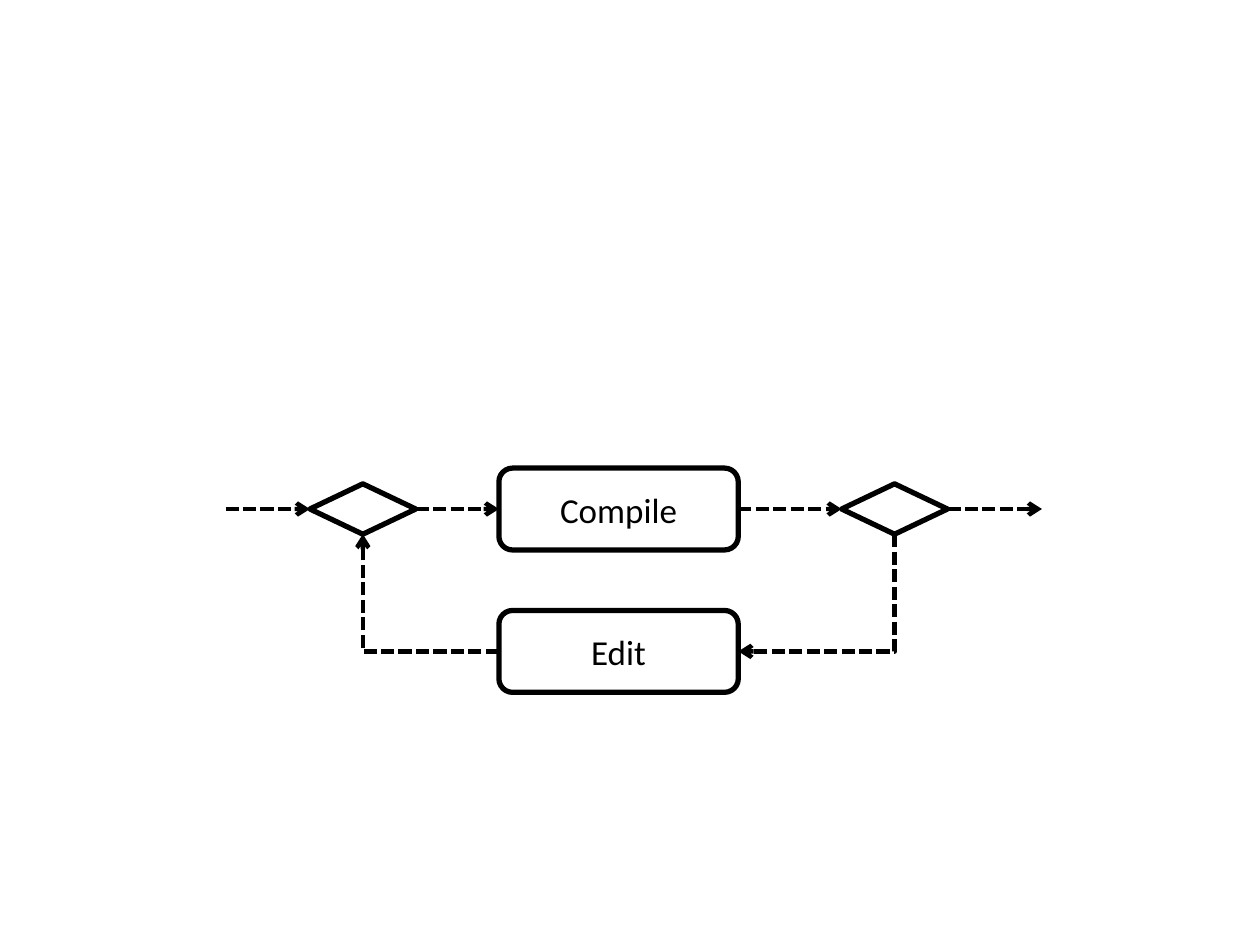
import pptx
import pptx.dml.color
import pptx.enum.dml
import pptx.enum.shapes
import pptx.enum.text
import pptx.oxml
import pptx.oxml.ns
import pptx.util
from pptx.util import Inches

BLACK = pptx.dml.color.RGBColor(0, 0, 0)
SHAPE = pptx.enum.shapes.MSO_SHAPE
CONNECTOR = pptx.enum.shapes.MSO_CONNECTOR
TOP, LEFT, BOTTOM, RIGHT = range(4)

# Grid: centres of the columns and rows, in inches
START, MERGE, STEP, DECISION, FINISH = 1.79, 2.88, 4.91, 7.1, 8.27
MAIN_ROW, LOOP_ROW = 4.04, 5.17
STEP_SIZE = (1.9, 0.65)
DIAMOND_SIZE = (0.84, 0.4)


def add_node(page, kind, column, row, size, label=""):
    """Outlined shape centred on a grid point."""
    width, height = size
    node = page.shapes.add_shape(
        kind, Inches(column - width / 2), Inches(row - height / 2),
        Inches(width), Inches(height))
    node.shadow.inherit = False
    node.fill.background()
    node.line.color.rgb = BLACK
    node.line.width = pptx.util.Pt(3)
    if label:
        frame = node.text_frame
        frame.vertical_anchor = pptx.enum.text.MSO_ANCHOR.MIDDLE
        para = frame.paragraphs[0]
        para.alignment = pptx.enum.text.PP_ALIGN.CENTER
        span = para.add_run()
        span.text = label
        span.font.name = "Calibri"
        span.font.size = pptx.util.Pt(20)
        span.font.color.rgb = BLACK
    return node


def add_flow(page, source=None, target=None, kind=CONNECTOR.STRAIGHT):
    """Dashed arrow between (node, side) pairs; an open end lies on the main row."""
    row = Inches(MAIN_ROW)
    flow = page.shapes.add_connector(kind, Inches(START), row, Inches(FINISH), row)
    if source:
        flow.begin_connect(*source)
    if target:
        flow.end_connect(*target)
    flow.line.color.rgb = BLACK
    flow.line.width = pptx.util.Pt(2.5)
    flow.line.dash_style = pptx.enum.dml.MSO_LINE.SQUARE_DOT
    properties = flow._element.spPr
    arrowhead = pptx.oxml.parse_xml(
        '<a:tailEnd %s type="arrow"/>' % pptx.oxml.ns.nsdecls("a"))
    flow.line._get_or_add_ln().append(arrowhead)
    properties.append(pptx.oxml.parse_xml(
        "<a:effectLst %s/>" % pptx.oxml.ns.nsdecls("a")))
    return flow


def add_corner_flow(page, source, target, down_first=False):
    """Dashed arrow with a single right-angled bend."""
    flow = add_flow(page, source, target, CONNECTOR.ELBOW)
    properties = flow._element.spPr
    properties.find(pptx.oxml.ns.qn("a:prstGeom")).set("prst", "bentConnector2")
    if down_first:
        # A quarter turn about the centre makes the first leg run downwards
        left, top, width, height = flow.left, flow.top, flow.width, flow.height
        flow.left = left + (width - height) // 2
        flow.top = top + (height - width) // 2
        flow.width, flow.height = height, width
        frame = properties.find(pptx.oxml.ns.qn("a:xfrm"))
        frame.attrib.pop("flipH", None)
        frame.set("rot", str(90 * 60000))


def main():
    deck = pptx.Presentation()
    deck.slide_width, deck.slide_height = Inches(10), Inches(7.5)
    page = deck.slides.add_slide(deck.slide_layouts[6])

    # Steps and branch points
    compile_step = add_node(
        page, SHAPE.ROUNDED_RECTANGLE, STEP, MAIN_ROW, STEP_SIZE, "Compile")
    edit_step = add_node(
        page, SHAPE.ROUNDED_RECTANGLE, STEP, LOOP_ROW, STEP_SIZE, "Edit")
    merge = add_node(page, SHAPE.DIAMOND, MERGE, MAIN_ROW, DIAMOND_SIZE)
    decision = add_node(page, SHAPE.DIAMOND, DECISION, MAIN_ROW, DIAMOND_SIZE)

    # Main flow, left to right
    chain = [None, merge, compile_step, decision, None]
    for source, target in zip(chain, chain[1:]):
        add_flow(page, source and (source, RIGHT), target and (target, LEFT))

    # Loop back through editing
    add_corner_flow(page, (decision, BOTTOM), (edit_step, RIGHT), down_first=True)
    add_corner_flow(page, (edit_step, LEFT), (merge, BOTTOM))

    deck.save("out.pptx")


if __name__ == "__main__":
    main()
